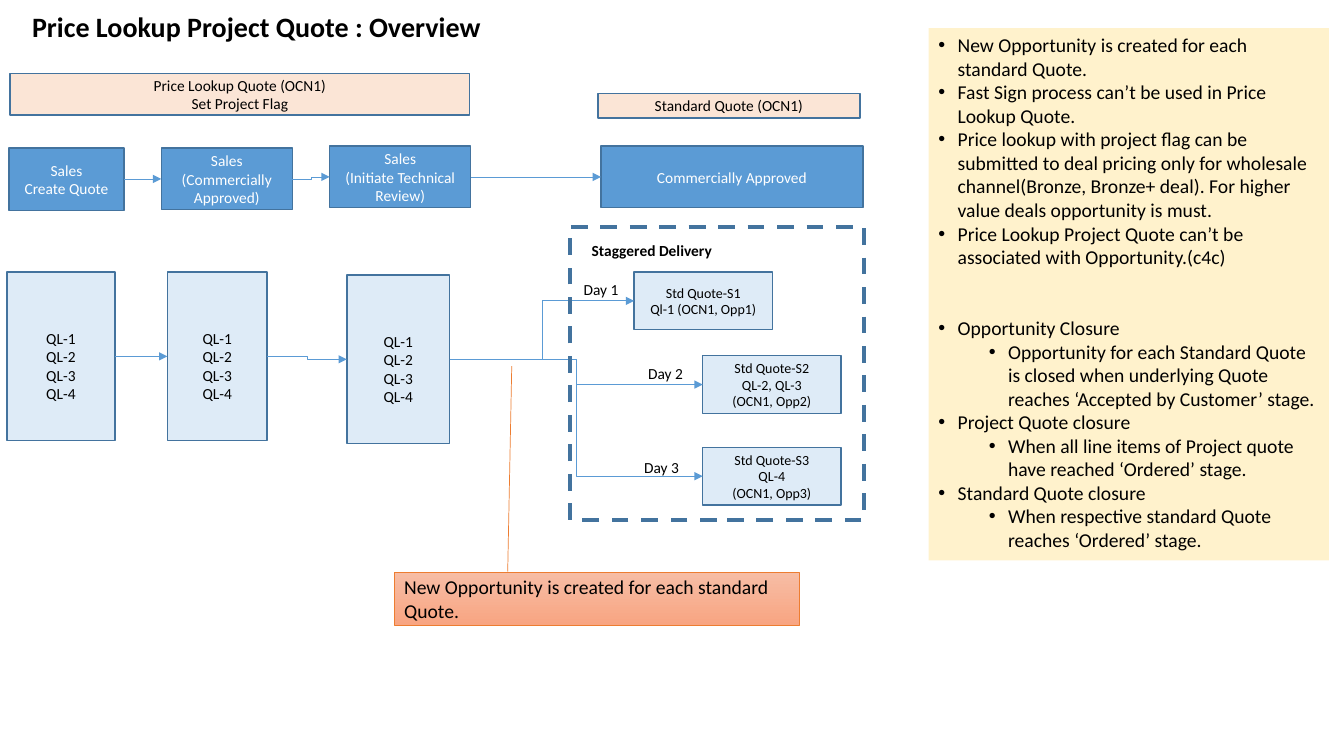
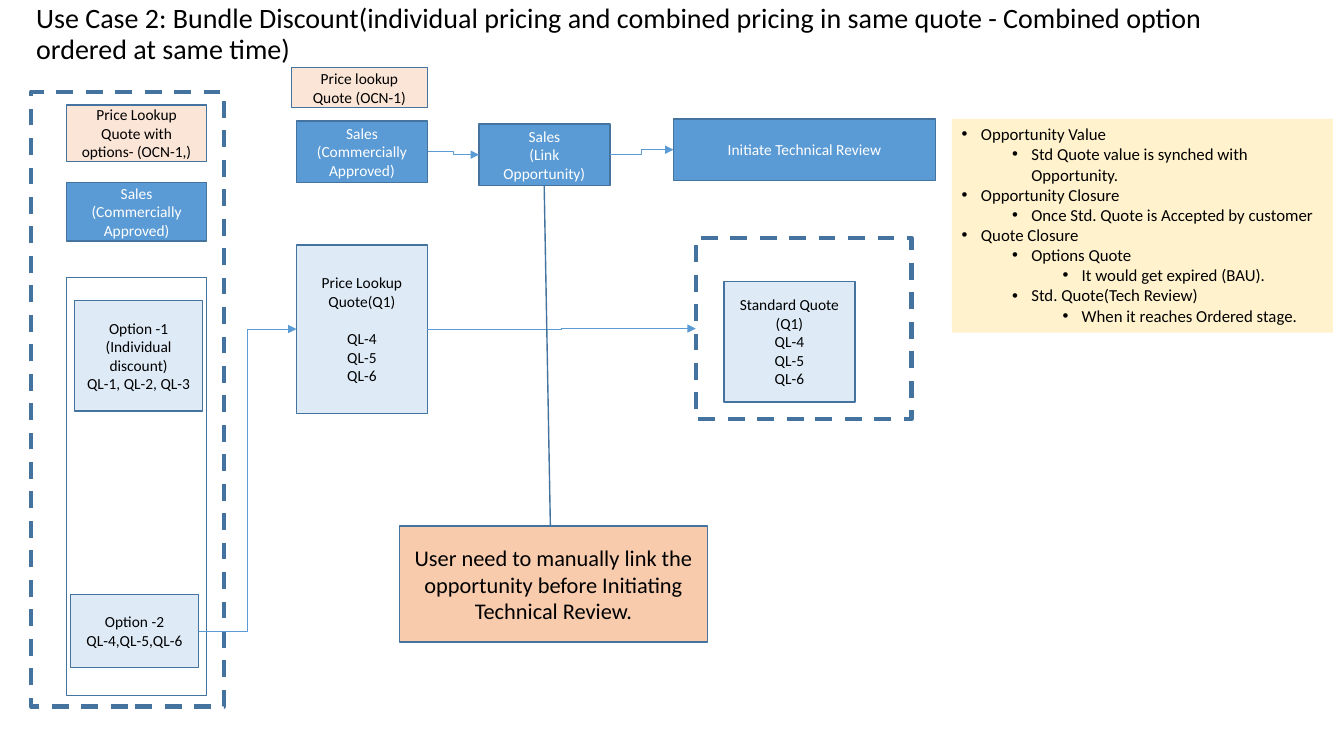
from dataclasses import dataclass

from lxml.etree import SubElement
from pptx import Presentation
from pptx.dml.color import RGBColor
from pptx.enum.dml import MSO_LINE
from pptx.enum.shapes import MSO_CONNECTOR, MSO_SHAPE
from pptx.enum.text import MSO_ANCHOR, PP_ALIGN
from pptx.oxml.ns import qn
from pptx.util import Inches, Pt


@dataclass(frozen=True)
class Theme:
    font: str = "Calibri"
    black: str = "000000"
    white: str = "FFFFFF"
    step: str = "5B9BD5"
    quote: str = "DEEBF7"
    heading: str = "FBE5D6"
    panel: str = "FFF2CC"
    callout: str = "F8CBAD"
    outline: str = "43739E"
    accent: str = "ED7D31"
    gradient: tuple = ("F7BDA5", "F8A582")
    title_size: int = 20
    callout_size: int = 16
    panel_size: int = 14
    small_panel_size: int = 12
    body_size: int = 11
    detail_size: int = 10
    thin: float = 0.5
    border: float = 1
    dashed: float = 3


THEME = Theme()
TOP, LEFT, BOTTOM, RIGHT = range(4)


@dataclass(frozen=True)
class Box:
    left: float
    top: float
    width: float
    height: float

    def inside(self, left, top, width, height):
        return Box(self.left + left, self.top + top, width, height)

    def lengths(self):
        return [Inches(value) for value in (self.left, self.top, self.width, self.height)]


def color(value):
    return RGBColor.from_string(value)


def write(shape, text, size=THEME.body_size, ink=THEME.black, bold=False,
          align=PP_ALIGN.CENTER, anchor=MSO_ANCHOR.MIDDLE):
    frame = shape.text_frame
    frame.text = text
    frame.word_wrap = True
    frame.vertical_anchor = anchor
    for paragraph in frame.paragraphs:
        paragraph.alignment = align
        for run in paragraph.runs:
            run.font.name = THEME.font
            run.font.size = Pt(size)
            run.font.bold = bold
            run.font.color.rgb = color(ink)
    return frame


def add_box(slide, box, text="", fill=None, outline=THEME.outline, weight=THEME.border,
            kind=MSO_SHAPE.RECTANGLE, **text_style):
    shape = slide.shapes.add_shape(kind, *box.lengths())
    shape.shadow.inherit = False
    if fill:
        shape.fill.solid()
        shape.fill.fore_color.rgb = color(fill)
    else:
        shape.fill.background()
    if outline:
        shape.line.color.rgb = color(outline)
        shape.line.width = Pt(weight)
    else:
        shape.line.fill.background()
    if text:
        write(shape, text, **text_style)
    return shape


def add_step(slide, box, text):
    return add_box(slide, box, text, THEME.step, ink=THEME.white)


def add_quote(slide, box, text, **text_style):
    return add_box(slide, box, text, THEME.quote, **text_style)


def add_heading(slide, box, text):
    return add_box(slide, box, text, THEME.heading)


def add_dashed_frame(slide, box):
    shape = add_box(slide, box, weight=THEME.dashed)
    shape.line.dash_style = MSO_LINE.DASH
    return shape


def add_label(slide, box, text, **text_style):
    shape = slide.shapes.add_textbox(*box.lengths())
    return write(shape, text, align=PP_ALIGN.LEFT, **text_style)


def add_title(slide, box, text, bold=False):
    frame = add_label(slide, box, text, size=THEME.title_size, bold=bold)
    frame.paragraphs[0].line_spacing = 0.9


def add_callout(slide, box, text, pointer, **style):
    shape = add_box(slide, box, text, kind=MSO_SHAPE.LINE_CALLOUT_1, **style)
    for index, value in enumerate(pointer):
        shape.adjustments[index] = value
    return shape


def link(slide, source, target):
    connector = slide.shapes.add_connector(MSO_CONNECTOR.ELBOW, 0, 0, 0, 0)
    connector.begin_connect(source, RIGHT)
    connector.end_connect(target, LEFT)
    connector.line.color.rgb = color(THEME.step)
    connector.line.width = Pt(THEME.thin)
    properties = connector._element.spPr
    SubElement(properties.find(qn("a:ln")), qn("a:tailEnd"), type="triangle")
    SubElement(properties, qn("a:effectLst"))


def link_chain(slide, shapes):
    for source, target in zip(shapes, shapes[1:]):
        link(slide, source, target)


def add_bullet_panel(slide, box, items, size):
    shape = add_box(slide, box, "\n".join(text for _, text in items), THEME.panel, None,
                    size=size, align=PP_ALIGN.LEFT, anchor=MSO_ANCHOR.TOP)
    for paragraph, (level, _) in zip(shape.text_frame.paragraphs, items):
        paragraph.level = level
        properties = paragraph._p.get_or_add_pPr()
        properties.set("marL", str(Inches(0.19 + 0.5 * level)))
        properties.set("indent", str(-Inches(0.19)))
        SubElement(properties, qn("a:buFont"), typeface="Arial")
        SubElement(properties, qn("a:buChar"), char="•")
    return shape


def add_sales_flow(slide, area):
    add_heading(slide, area.inside(0.03, 0, 4.56, 0.41),
                "Price Lookup Quote (OCN1)\nSet Project Flag")
    add_heading(slide, area.inside(5.86, 0.2, 2.6, 0.24), "Standard Quote (OCN1)")
    steps = [
        (0.02, 0.74, 1.14, 0.62, "Sales\nCreate Quote"),
        (1.53, 0.74, 1.3, 0.61, "Sales\n(Commercially Approved)"),
        (3.2, 0.72, 1.4, 0.61, "Sales\n(Initiate Technical Review)"),
        (5.89, 0.72, 2.6, 0.61, "Commercially Approved"),
    ]
    link_chain(slide, [add_step(slide, area.inside(*place), text) for *place, text in steps])


def add_quote_lines(slide, area):
    text = "\n".join(f"QL-{number}" for number in range(1, 5))
    shapes = []
    for left, top, width in [(0, 0, 1.07), (1.59, 0, 0.99), (3.37, 0.03, 1.02)]:
        shape = add_quote(slide, area.inside(left, top, width, 1.67), text)
        shape.text_frame.margin_top = Inches(0.24)
        shapes.append(shape)
    link_chain(slide, shapes)
    return shapes[-1]


def add_staggered_delivery(slide, area, source):
    deliveries = [
        (0.64, 0.45, 0.04, 0.48, "Std Quote-S1\nQl-1 (OCN1, Opp1)"),
        (1.32, 1.28, 0.68, 1.31, "Std Quote-S2\nQL-2, QL-3\n(OCN1, Opp2)"),
        (1.32, 2.19, 0.64, 2.24, "Std Quote-S3\nQL-4\n(OCN1, Opp3)"),
    ]
    for day, (left, top, label_left, label_top, text) in enumerate(deliveries, 1):
        quote = add_quote(slide, area.inside(left, top, 1.37, 0.57), text,
                          size=THEME.detail_size)
        link(slide, source, quote)
        add_label(slide, area.inside(label_left, label_top, 0.75, 0.29), f"Day {day}")
    add_dashed_frame(slide, area)
    add_label(slide, area.inside(0.12, 0.09, 2.15, 0.29), "Staggered Delivery", bold=True)


def build_overview(slide):
    add_title(slide, Box(0.22, 0.09, 7.2, 0.38), "Price Lookup Project Quote : Overview", True)
    panel = add_bullet_panel(slide, Box(9.21, 0.28, 3.97, 5.28), [
        (0, "New Opportunity is created for each standard Quote."),
        (0, "Fast Sign process can’t be used in Price Lookup Quote."),
        (0, "Price lookup with project flag can be submitted to deal pricing only for "
            "wholesale channel(Bronze, Bronze+ deal). For higher value deals opportunity is must."),
        (0, "Price Lookup Project Quote can’t be associated with Opportunity.(c4c)"),
        (0, "Opportunity Closure"),
        (1, "Opportunity for each Standard Quote is closed when underlying Quote reaches "
            "‘Accepted by Customer’ stage."),
        (0, "Project Quote closure"),
        (1, "When all line items of Project quote have reached ‘Ordered’ stage."),
        (0, "Standard Quote closure"),
        (1, "When respective standard Quote reaches ‘Ordered’ stage."),
    ], THEME.panel_size)
    panel.text_frame.paragraphs[4].space_before = Pt(34)
    add_sales_flow(slide, Box(0.07, 0.73, 8.5, 1.36))
    last_quote = add_quote_lines(slide, Box(0.07, 2.7, 4.39, 1.7))
    add_staggered_delivery(slide, Box(5.65, 2.25, 2.92, 2.91), last_quote)
    callout = add_callout(slide, Box(3.91, 5.68, 4.02, 0.52),
                          "New Opportunity is created for each standard Quote.",
                          (-0.02, 0.28, -3.94, 0.29), outline=THEME.accent,
                          weight=THEME.thin, size=THEME.panel_size, align=PP_ALIGN.LEFT)
    callout.fill.gradient()
    callout.fill.gradient_angle = 270
    for stop, value in zip(callout.fill.gradient_stops, THEME.gradient):
        stop.color.rgb = color(value)


def add_options(slide, area):
    add_heading(slide, area.inside(0.35, 0.13, 1.39, 0.56),
                "Price Lookup Quote with options- (OCN-1,)")
    add_step(slide, area.inside(0.35, 0.9, 1.39, 0.58), "Sales\n(Commercially Approved)")
    add_box(slide, area.inside(0.35, 1.84, 1.39, 4.15))
    add_dashed_frame(slide, area)
    add_quote(slide, area.inside(0.43, 2.07, 1.27, 1.1),
              "Option -1 (Individual discount)\nQL-1, QL-2, QL-3")
    return add_quote(slide, area.inside(0.39, 4.99, 1.27, 0.72), "Option -2\nQL-4,QL-5,QL-6")


def add_review_flow(slide, area):
    add_heading(slide, area.inside(0, 0, 1.35, 0.4), "Price lookup Quote (OCN-1)")
    steps = [
        (0.05, 0.53, 1.3, "Sales\n(Commercially Approved)"),
        (1.86, 0.56, 1.3, "Sales\n(Link Opportunity)"),
        (3.79, 0.51, 2.6, "Initiate Technical Review"),
    ]
    link_chain(slide, [add_step(slide, area.inside(left, top, width, 0.61), text)
                       for left, top, width, text in steps])


def add_quote_conversion(slide, area, option):
    lookup = add_quote(slide, area.inside(0, 0.07, 1.3, 1.67),
                       "Price Lookup Quote(Q1)\nQL-4\nQL-5\nQL-6")
    lookup.text_frame.paragraphs[1].space_before = Pt(13.4)
    add_quote(slide, area.inside(4.24, 0.43, 1.3, 1.2), "Standard Quote (Q1)\nQL-4\nQL-5\nQL-6")
    frame = add_dashed_frame(slide, area.inside(3.96, 0, 2.14, 1.8))
    link_chain(slide, [option, lookup, frame])


def build_bundle_discount(slide):
    add_title(slide, Box(0.26, 0.1, 12.21, 0.49),
              "Use Case 2: Bundle Discount(individual pricing and combined pricing in same "
              "quote - Combined option ordered at same time)")
    option = add_options(slide, Box(0.31, 0.91, 1.91, 6.1))
    add_quote_conversion(slide, Box(2.94, 2.36, 6.1, 1.8), option)
    add_callout(slide, Box(3.96, 5.22, 3.06, 1.15),
                "User need to manually link the opportunity before Initiating Technical Review.",
                (0, 0.49, -2.94, 0.47), fill=THEME.callout, size=THEME.callout_size)
    add_review_flow(slide, Box(2.89, 0.67, 6.39, 1.17))
    add_bullet_panel(slide, Box(9.44, 1.18, 3.78, 2.12), [
        (0, "Opportunity Value"),
        (1, "Std Quote value is synched with Opportunity."),
        (0, "Opportunity Closure"),
        (1, "Once Std. Quote is Accepted by customer"),
        (0, "Quote Closure"),
        (1, "Options Quote"),
        (2, "It would get expired (BAU)."),
        (1, "Std. Quote(Tech Review)"),
        (2, "When it reaches Ordered stage."),
    ], THEME.small_panel_size)


def main():
    presentation = Presentation()
    presentation.slide_width = Inches(13.33)
    presentation.slide_height = Inches(7.5)
    for build in (build_overview, build_bundle_discount):
        build(presentation.slides.add_slide(presentation.slide_layouts[6]))
    presentation.save("out.pptx")


if __name__ == "__main__":
    main()
